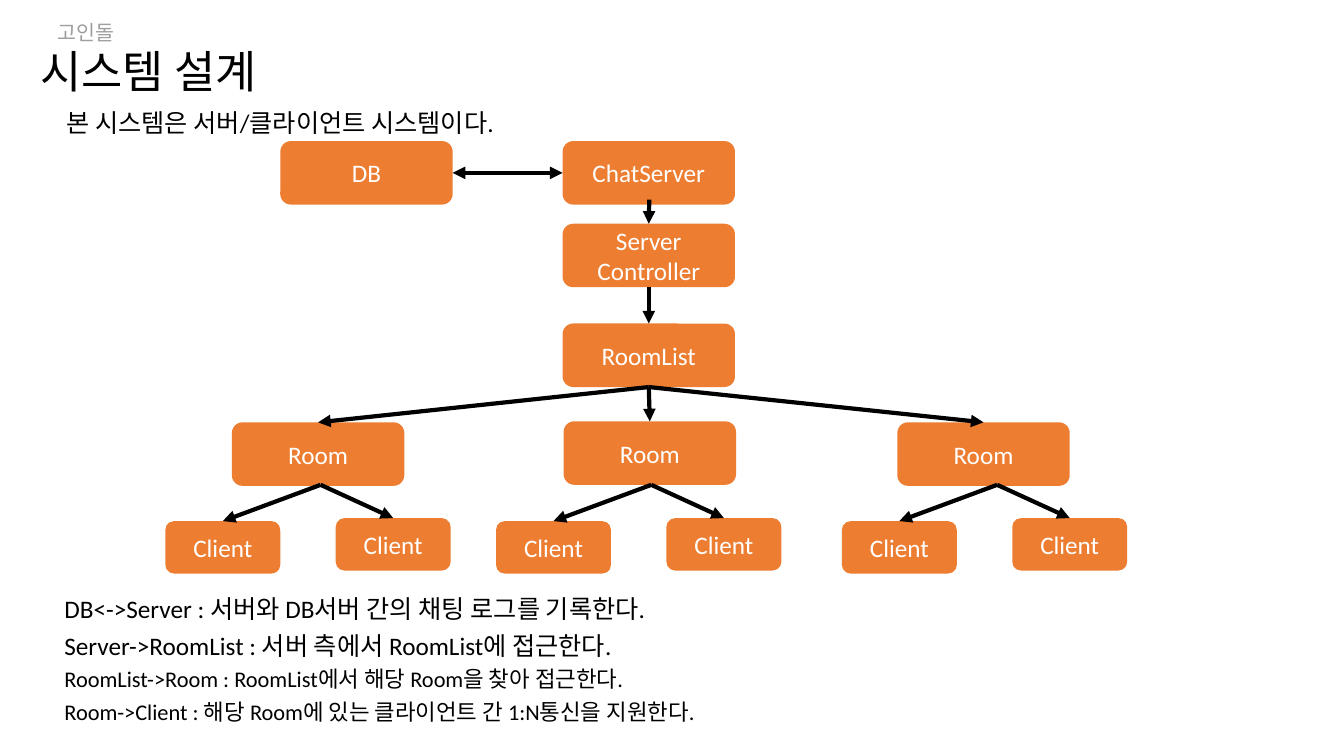
from lxml import etree
from pptx import Presentation
from pptx import util as u
from pptx.dml.color import RGBColor
from pptx.enum import shapes, text
from pptx.oxml.ns import qn

PX = 9144  # 100 px to the inch
FONT = "Calibri"
BLACK, WHITE, GREY, ORANGE = "000000", "FFFFFF", "9E9E9E", "ED7D31"
TOP, LEFT, BOTTOM, RIGHT = range(4)
NODE = (171, 63)
CLIENT = (114, 52)


def px(*lengths):
    return [u.Emu(length * PX) for length in lengths]


def rgb(hex_color):
    return RGBColor.from_string(hex_color)


def set_attrs(target, values):
    for name, value in values.items():
        setattr(target, name, value)


def write(frame, lines, color, frame_format, paragraph_format):
    """Fill a text frame with (wording, size) lines."""
    set_attrs(frame, {"word_wrap": True, **frame_format})
    for index, (wording, size) in enumerate(lines):
        paragraph = frame.paragraphs[0] if index == 0 else frame.add_paragraph()
        set_attrs(paragraph, paragraph_format)
        run = paragraph.add_run()
        run.text = wording
        set_attrs(run.font, {"name": FONT, "size": u.Pt(size)})
        run.font.color.rgb = rgb(color)


def place_title(slide, box, wording):
    title = slide.shapes.title
    set_attrs(title, dict(zip(("left", "top", "width", "height"), px(*box))))
    write(title.text_frame, [(wording, 32)], BLACK,
          {"vertical_anchor": text.MSO_ANCHOR.TOP,
           "auto_size": text.MSO_AUTO_SIZE.SHAPE_TO_FIT_TEXT},
          {"alignment": text.PP_ALIGN.LEFT})


def add_text(slide, box, lines, color=BLACK, spacing=1.0):
    write(slide.shapes.add_textbox(*px(*box)).text_frame, lines, color,
          {"auto_size": text.MSO_AUTO_SIZE.SHAPE_TO_FIT_TEXT},
          {"line_spacing": spacing})


def add_node(slide, left, top, *lines, size=NODE):
    node = slide.shapes.add_shape(
        shapes.MSO_SHAPE.ROUNDED_RECTANGLE, *px(left, top, *size))
    node.shadow.inherit = False
    node.fill.solid()
    node.fill.fore_color.rgb = rgb(ORANGE)
    node.line.fill.background()
    write(node.text_frame, [(line, 18) for line in lines], WHITE,
          {"vertical_anchor": text.MSO_ANCHOR.MIDDLE},
          {"alignment": text.PP_ALIGN.CENTER})
    return node


def add_arrow(slide, target, target_side, source=None, source_side=BOTTOM,
              start=(0, 0), heads=("tailEnd",)):
    """Arrow to a node's side, from another node's side or a free point."""
    arrow = slide.shapes.add_connector(
        shapes.MSO_CONNECTOR.STRAIGHT, *px(*start, *start))
    if source is not None:
        arrow.begin_connect(source, source_side)
    arrow.end_connect(target, target_side)
    arrow.line.width = u.Pt(3)
    arrow.line.color.rgb = rgb(BLACK)
    properties = arrow._element.spPr
    for head in heads:
        etree.SubElement(properties.find(qn("a:ln")), qn(f"a:{head}"),
                         type="triangle")
    etree.SubElement(properties, qn("a:effectLst"))


def add_room(slide, room_list, room_left, room_top, clients_left):
    """A room below the room list, with its pair of clients."""
    room = add_node(slide, room_left, room_top, "Room")
    add_arrow(slide, room, TOP, room_list)
    for offset, top in ((0, 517), (169, 514)):
        client = add_node(slide, clients_left + offset, top, "Client",
                          size=CLIENT)
        add_arrow(slide, client, TOP, start=(clients_left + 154, 481))


def main():
    deck = Presentation()
    deck.slide_width, deck.slide_height = px(1333, 750)
    slide = deck.slides.add_slide(deck.slide_layouts[5])

    # Headings
    place_title(slide, (30, 38, 822, 64), "시스템 설계")
    add_text(slide, (47, 15, 283, 35), [("고인돌", 14.7)], GREY)
    add_text(slide, (56, 102, 822, 40),
             [("본 시스템은 서버/클라이언트 시스템이다.", 18)])

    # Server side
    database = add_node(slide, 278, 140, "DB")
    chat_server = add_node(slide, 558, 140, "ChatServer")
    controller = add_node(slide, 558, 222, "Server", "Controller")
    room_list = add_node(slide, 558, 321, "RoomList")
    add_arrow(slide, chat_server, LEFT, database, RIGHT,
              heads=("headEnd", "tailEnd"))
    add_arrow(slide, controller, TOP, start=(644, 198))
    add_arrow(slide, room_list, TOP, controller)

    # Rooms and clients
    for room in ((230, 419, 164), (559, 418, 492), (890, 419, 835)):
        add_room(slide, room_list, *room)

    # Explanation of the links
    add_text(slide, (54, 578, 991, 144), [
        ("DB<->Server : 서버와 DB서버 간의 채팅 로그를 기록한다.", 18),
        ("Server->RoomList : 서버 측에서 RoomList에 접근한다.", 18),
        ("RoomList->Room : RoomList에서 해당 Room을 찾아 접근한다.", 16),
        ("Room->Client : 해당 Room에 있는 클라이언트 간 1:N통신을 지원한다.", 16),
    ], spacing=1.2)

    deck.save("out.pptx")


if __name__ == "__main__":
    main()
